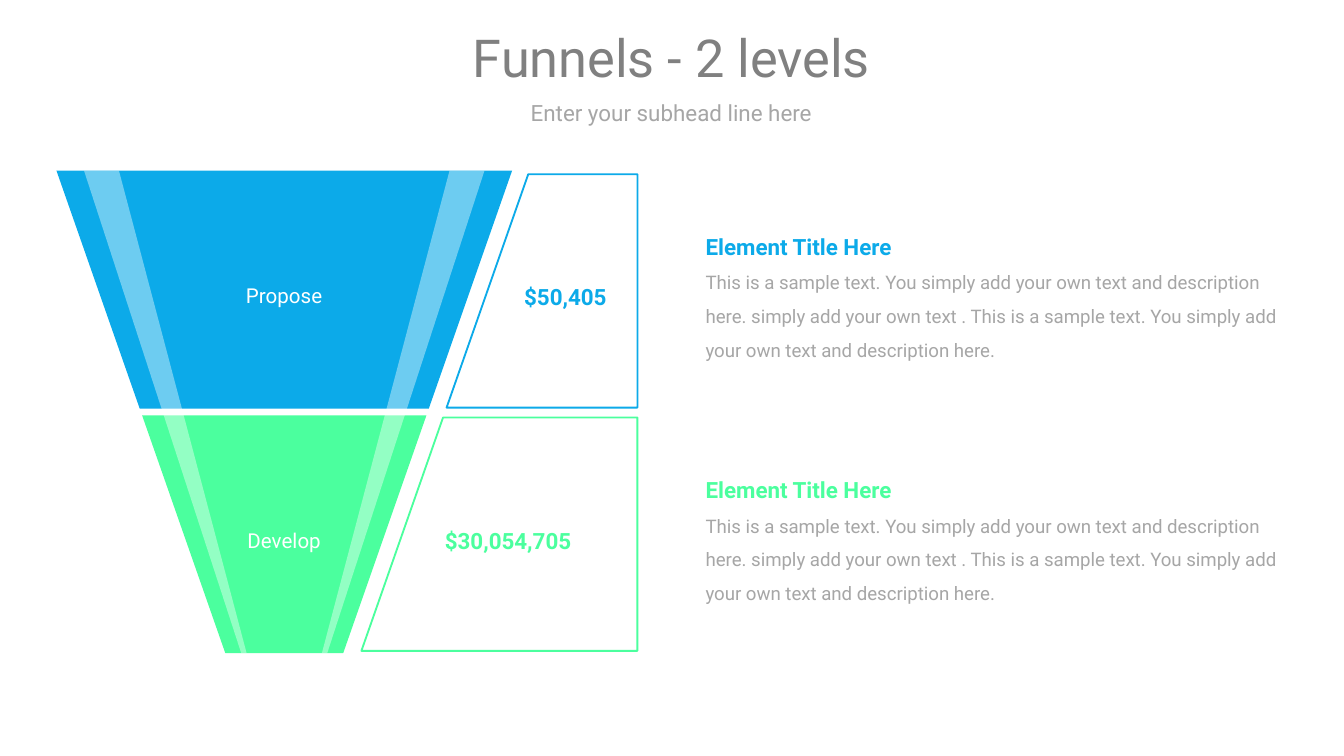
"""Build a two-level funnel slide with values and descriptions."""
from lxml.etree import SubElement
from pptx import Presentation
from pptx.dml.color import RGBColor
from pptx.enum.text import MSO_ANCHOR, PP_ALIGN
from pptx.oxml.ns import qn
from pptx.util import Inches, Pt

TITLE = "Funnels - 2 levels"
SUBHEAD = "Enter your subhead line here"
HEAD = "Element Title Here"
BODY = ("This is a sample text. You simply add your own text and description here. "
        "simply add your own text . This is a sample text. "
        "You simply add your own text and description here.")
LEVELS = [
    {"name": "Propose", "value": "$50,405", "hue": "blue", "left": 3.9, "width": 0.82},
    {"name": "Develop", "value": "$30,054,705", "hue": "green", "left": 3.31, "width": 1.21},
]
THEME = {
    "font": "Roboto",
    "blue": "0CAAE9", "green": "4BFF9E", "white": "FFFFFF",
    "dark": "808080", "gray": "A6A6A6",
    "title": 28, "head": 12, "label": 11, "body": 10, "line": 1,
}
LEFT, RIGHT, TOP = 0.42, 3.81, 1.27
PITCH, HEIGHT, SLOPE = 1.82, 1.77, 0.35
MID, HALF = (LEFT + RIGHT) / 2, (RIGHT - LEFT) / 2
BASE = TOP + PITCH + HEIGHT
SHINE = {"top": (1.23, 1.49), "base": (0.28, 0.32)}
INSET = THEME["line"] / 144
CASE = {"top": 1.29, "right": 4.75, "height": 1.75, "gap": 0.13}
STEP = 1.81


def color(name):
    return RGBColor.from_string(THEME[name])


def half(y):
    return HALF - (y - TOP) * SLOPE


def outline(slide, points):
    spots = [(Inches(x), Inches(y)) for x, y in points]
    pen = slide.shapes.build_freeform(*spots[0], scale=1)
    pen.add_line_segments(spots[1:], close=True)
    shape = pen.convert_to_shape()
    shape.shadow.inherit = False
    return shape


def solid(slide, points, hue, alpha=None):
    shape = outline(slide, points)
    shape.fill.solid()
    shape.fill.fore_color.rgb = color(hue)
    shape.line.fill.background()
    if alpha:
        tint = shape.fill._xPr.find(qn("a:solidFill"))[0]
        SubElement(tint, qn("a:alpha"), val=str(alpha * 1000))


def frame(slide, points, hue):
    shape = outline(slide, points)
    shape.fill.background()
    shape.line.color.rgb = color(hue)
    shape.line.width = Pt(THEME["line"])


def write(shape, box, lines, align=PP_ALIGN.LEFT, space=1.5):
    for name, value in zip(("left", "top", "width", "height"), box):
        setattr(shape, name, Inches(value))
    text = shape.text_frame
    style = {"word_wrap": True, "vertical_anchor": MSO_ANCHOR.MIDDLE,
             "margin_left": 0, "margin_right": 0, "margin_top": 0, "margin_bottom": 0}
    for name, value in style.items():
        setattr(text, name, value)
    for i, (words, size, hue, bold) in enumerate(lines):
        para = text.add_paragraph() if i else text.paragraphs[0]
        para.alignment, para.line_spacing = align, space
        run = para.add_run()
        run.text = words
        run.font.color.rgb = color(hue)
        form = {"name": THEME["font"], "size": Pt(THEME[size]), "bold": bold}
        for name, value in form.items():
            setattr(run.font, name, value)


def label(slide, box, lines, **form):
    write(slide.shapes.add_textbox(0, 0, 0, 0), box, lines, **form)


def main():
    deck = Presentation()
    deck.slide_width = Inches(10)
    deck.slide_height = deck.slide_width * 9 // 16
    slide = deck.slides.add_slide(deck.slide_layouts[5])
    center = {"align": PP_ALIGN.CENTER, "space": 1.0}
    write(slide.shapes.title, (0.42, 0.15, 9.15, 0.54),
          [(TITLE, "title", "dark", False)], **center)
    label(slide, (0.42, 0.74, 9.15, 0.19), [(SUBHEAD, "head", "gray", False)], **center)

    for i, level in enumerate(LEVELS):
        top = TOP + i * PITCH
        low = top + HEIGHT
        solid(slide, [(MID - half(top), top), (MID + half(top), top),
                      (MID + half(low), low), (MID - half(low), low)], level["hue"])
    for side in (-1, 1):
        (a, b), (c, d) = SHINE["top"], SHINE["base"]
        solid(slide, [(MID + side * a, TOP), (MID + side * b, TOP),
                      (MID + side * d, BASE), (MID + side * c, BASE)], "white", 40)

    for i, level in enumerate(LEVELS):
        shift, hue = i * STEP, level["hue"]
        top = CASE["top"] + shift + INSET
        low = CASE["top"] + shift + CASE["height"] - INSET
        start, edge = MID + CASE["gap"], CASE["right"] - INSET
        frame(slide, [(start + half(top), top), (edge, top),
                      (edge, low), (start + half(low), low)], hue)
        label(slide, (1.65, 2.03 + i * PITCH, 0.93, 0.25),
              [(level["name"], "label", "white", False)], align=PP_ALIGN.CENTER)
        label(slide, (level["left"], 2.01 + shift, level["width"], 0.3),
              [(level["value"], "head", hue, True)])
        label(slide, (5.25, 1.63 + shift, 4.33, 1.06),
              [(HEAD, "head", hue, True), (BODY, "body", "gray", False)])
    deck.save("out.pptx")


if __name__ == "__main__":
    main()
